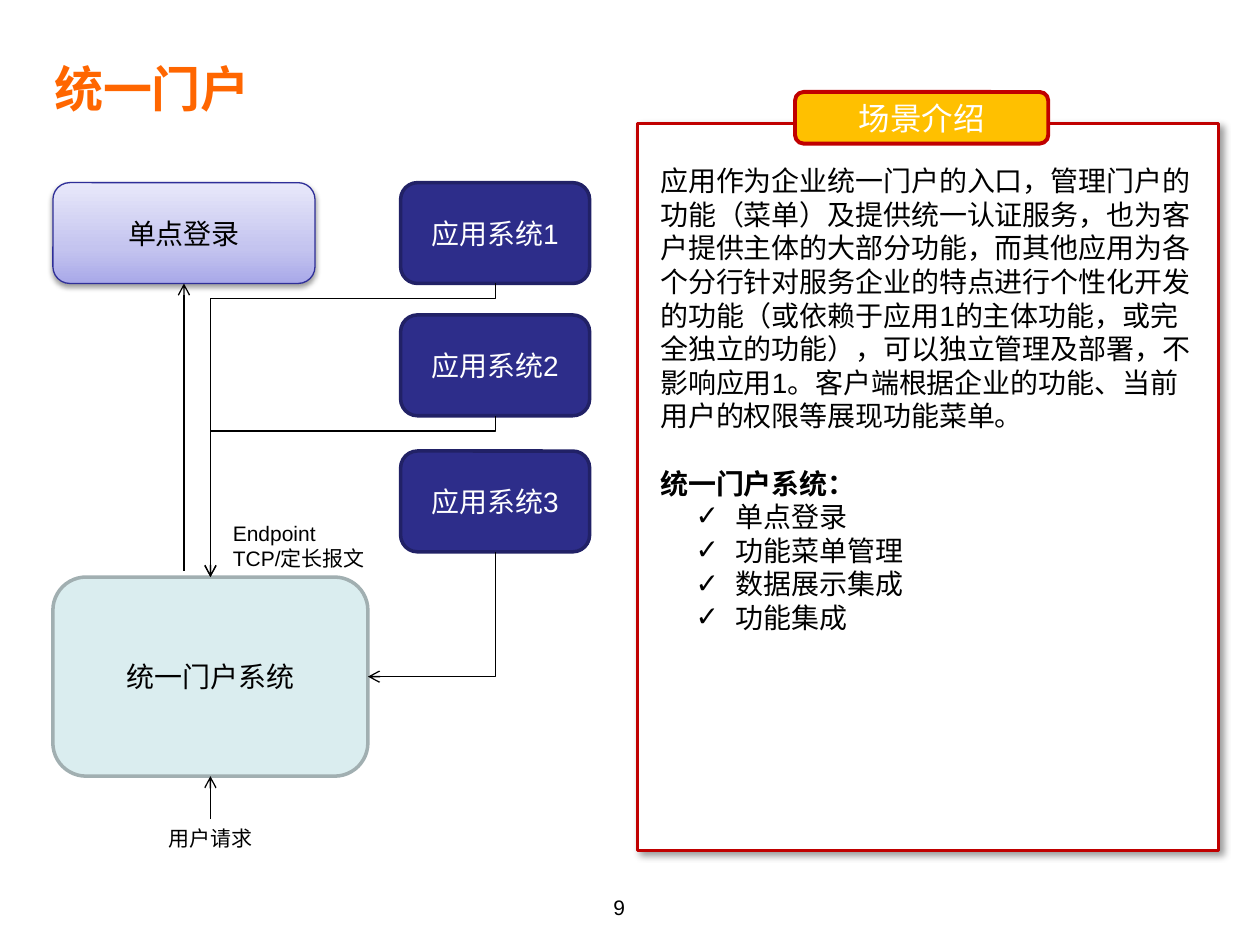
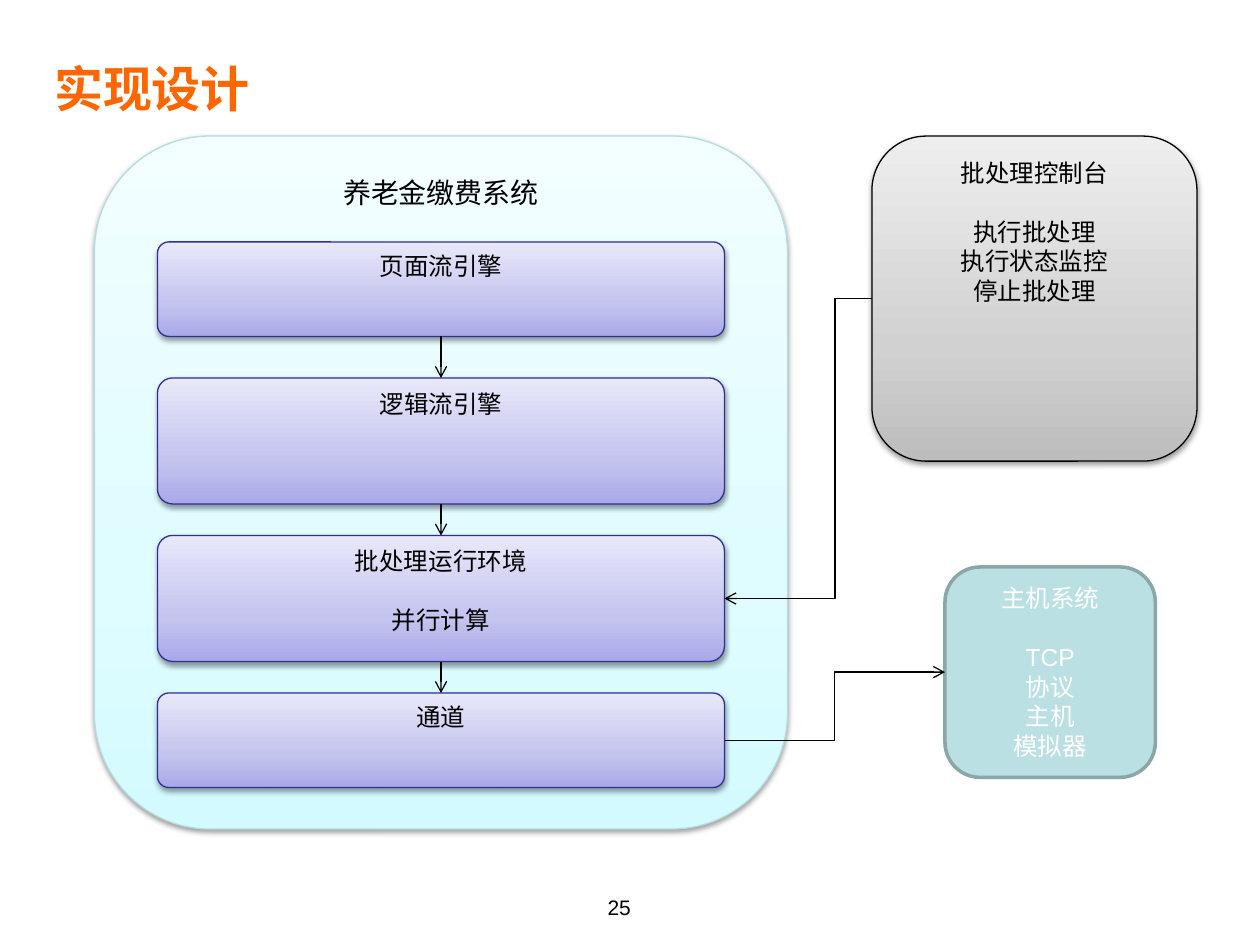
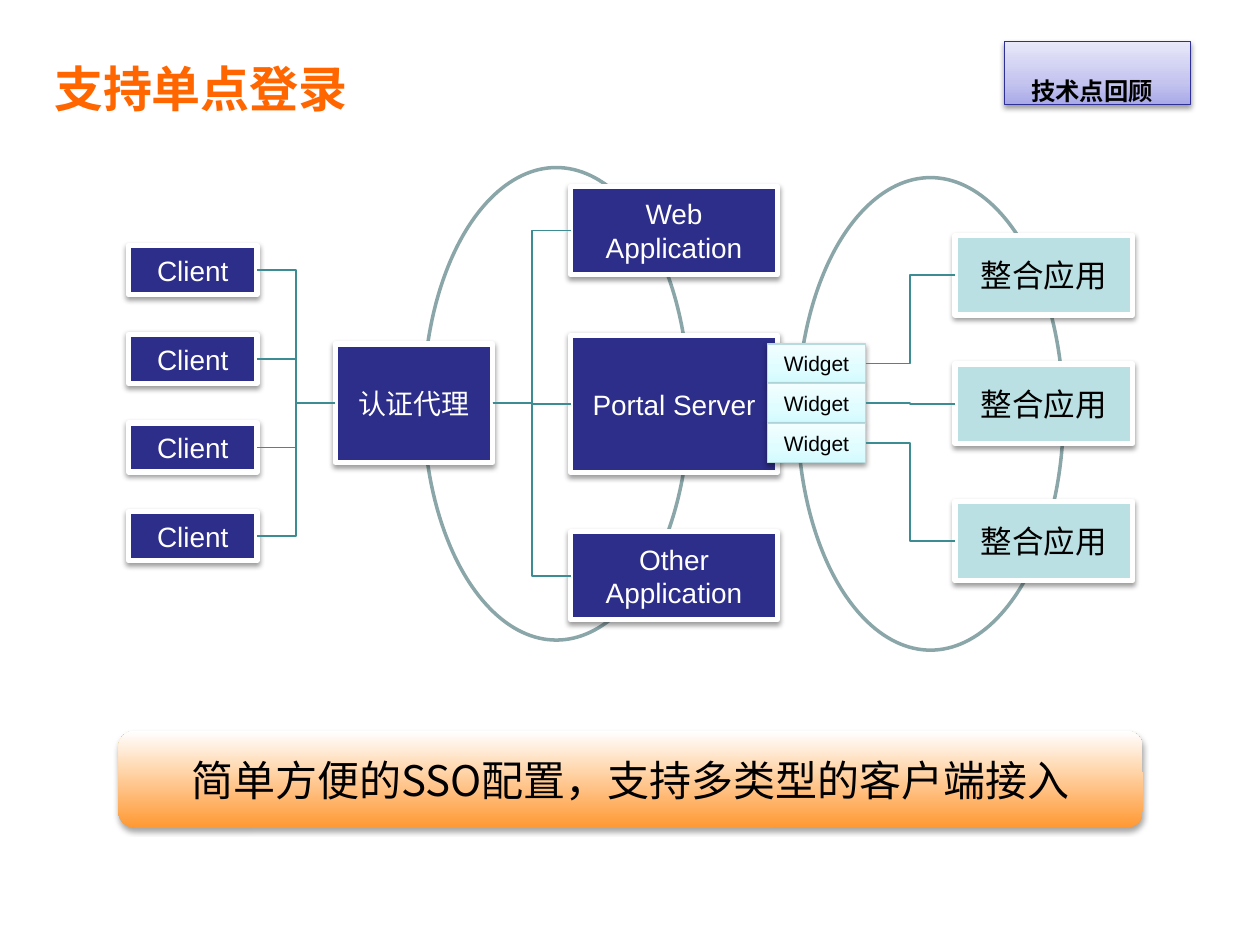
import dataclasses

import pptx
import pptx.dml.color
import pptx.enum.shapes
import pptx.enum.text
import pptx.oxml
import pptx.oxml.ns
import pptx.util

Inches = pptx.util.Inches
Pt = pptx.util.Pt
qn = pptx.oxml.ns.qn
SHAPE = pptx.enum.shapes.MSO_SHAPE
CONNECTOR = pptx.enum.shapes.MSO_CONNECTOR
ALIGN = pptx.enum.text.PP_ALIGN
ANCHOR = pptx.enum.text.MSO_ANCHOR


@dataclasses.dataclass(frozen=True)
class Look:
    """Fill is a colour or a list of gradient stops running upwards."""
    fill: object = None
    line: tuple = None
    shadow: tuple = None
    text: str = "000000"


@dataclasses.dataclass(frozen=True)
class Theme:
    latin: str = "Arial"
    chinese: str = "Noto Sans CJK SC"
    black: str = "000000"
    title_colour: str = "FF6600"
    teal: str = "3C8C93"
    title: int = 28
    banner: int = 24
    large: int = 18
    normal: int = 16
    small: int = 14
    label: int = 12


THEME = Theme()

# Shadows: opacity in percent, blur, distance, direction in degrees
SOFT = (38, 3.1, 1.6, 90)
LAVENDER = Look(((0, "A9A9E9"), (35, "C4C4EF"), (100, "E8E8FA")), ("2F2F98", 0.75), SOFT)
ICE = Look(((0, "D3FBFF"), (35, "DFFCFF"), (100, "F2FEFF")), ("B6DCDF", 0.75), SOFT)
GREY = Look(((0, "BDBDBD"), (35, "D1D1D1"), (100, "EEEEEE")), ("000000", 0.75), SOFT)
ORANGE = Look(((0, "FF9933"), (100, "FFFFFF")), None, (35, 3.1, 1.8, 90))
NAVY = Look("2D2D8A", ("212166", 2), None, "FFFFFF")
NAVY_CARD = Look("2D2D8A", ("FFFFFF", 3), SOFT, "FFFFFF")
AQUA_CARD = Look("BBE0E3", ("FFFFFF", 3), SOFT)
AQUA = Look("BBE0E3", ("8AA6A8", 2), None, "FFFFFF")
PALE_AQUA = Look("DAEDEF", ("A1AFB1", 2))
RING = Look(None, ("8AA6A8", 2))
RED_FRAME = Look("FFFFFF", ("C00000", 1.5), (40, 4, 3, 45))
AMBER = Look("FFC000", ("C00000", 2.25), None, "FFFFFF")


def rgb(colour):
    return pptx.dml.color.RGBColor.from_string(colour)


def element(tag, **attributes):
    node = pptx.oxml.parse_xml(f'<a:{tag} {pptx.oxml.ns.nsdecls("a")}/>')
    for name, value in attributes.items():
        node.set(name, str(value))
    return node


def colour_node(colour):
    return element("srgbClr", val=colour)


def spread(first, last, count):
    return [first + (last - first) * i / (count - 1) for i in range(count)]


def edge(shape, side):
    """Middle point of one side of a shape."""
    x = {"left": 0, "right": 1}.get(side, 0.5)
    y = {"top": 0, "bottom": 1}.get(side, 0.5)
    return shape.left + int(shape.width * x), shape.top + int(shape.height * y)


class Deck:
    def __init__(self, theme):
        self.theme = theme
        self.show = pptx.Presentation()
        self.show.slide_width, self.show.slide_height = Inches(10), Inches(7.5)
        self.slide = None

    def start(self, title, number=None, layout=5):
        self.slide = self.show.slides.add_slide(self.show.slide_layouts[layout])
        heading = self.slide.shapes.title
        self.place(heading, 0.33, 0.39, 9.42, 0.61)
        heading.text_frame.vertical_anchor = ANCHOR.MIDDLE
        self.fill_text(heading.text_frame, [title], self.theme.title,
                       self.theme.title_colour, ALIGN.LEFT, bold=True)
        if number:
            self.label(number, 3.75, 6.83, 2.33, 0.52, anchor=ANCHOR.BOTTOM)

    def place(self, shape, left, top, width, height):
        places = {"left": left, "top": top, "width": width, "height": height}
        for name, value in places.items():
            setattr(shape, name, Inches(value))

    def fill_text(self, frame, lines, size, colour, align=ALIGN.CENTER, gap=0,
                  font=None, bold=False):
        """Put one paragraph per line; gap sets the second one apart."""
        frame.word_wrap = True
        for i, line in enumerate(lines):
            paragraph = frame.paragraphs[0] if i == 0 else frame.add_paragraph()
            paragraph.alignment = align
            paragraph.space_before = Pt(gap if i == 1 else 0)
            self.style(paragraph, line, size, colour, font, bold)

    def style(self, paragraph, text, size, colour, font=None, bold=False):
        run = paragraph.add_run()
        run.text = text
        formats = {"name": font or self.theme.latin, "size": Pt(size), "bold": bold}
        for name, value in formats.items():
            setattr(run.font, name, value)
        run.font.color.rgb = rgb(colour)
        latin = run.font._element.find(qn("a:latin"))
        latin.addnext(element("ea", typeface=self.theme.chinese))
        return run

    def label(self, text, left, top, width, height, align=ALIGN.CENTER,
              anchor=ANCHOR.TOP):
        box = self.slide.shapes.add_textbox(
            *map(Inches, (left, top, width, height)))
        box.text_frame.vertical_anchor = anchor
        self.fill_text(box.text_frame, text.split("\n"), self.theme.label,
                       self.theme.black, align)
        return box

    def box(self, kind, look, at, text="", size=None, anchor=ANCHOR.MIDDLE,
            gap=0, font=None, corner=None):
        shape = self.slide.shapes.add_shape(kind, *map(Inches, at))
        if corner:
            shape.adjustments[0] = corner
        self.paint(shape, look)
        shape.text_frame.vertical_anchor = anchor
        if text:
            self.fill_text(shape.text_frame, text.split("\n"),
                           size or self.theme.normal, look.text, gap=gap, font=font)
        return shape

    def paint(self, shape, look):
        if look.fill is None:
            shape.fill.background()
        elif isinstance(look.fill, str):
            shape.fill.solid()
            shape.fill.fore_color.rgb = rgb(look.fill)
        else:
            shape.fill.gradient()
            shape.fill.gradient_angle = 90
            stops = shape._element.spPr.find(".//" + qn("a:gsLst"))
            stops.clear()
            for position, colour in look.fill:
                stop = element("gs", pos=position * 1000)
                stop.append(colour_node(colour))
                stops.append(stop)
        if look.line:
            shape.line.color.rgb = rgb(look.line[0])
            shape.line.width = Pt(look.line[1])
        else:
            shape.line.fill.background()
        shape.shadow.inherit = False
        if look.shadow:
            opacity, blur, distance, direction = look.shadow
            shadow = element("outerShdw", blurRad=Pt(blur), dist=Pt(distance),
                             dir=direction * 60000, rotWithShape=0)
            colour = colour_node(self.theme.black)
            colour.append(element("alpha", val=opacity * 1000))
            shadow.append(colour)
            shape._element.spPr.find(qn("a:effectLst")).append(shadow)

    def connect(self, start, end, bend=None, vertical=False, corner=False,
                colour=None, width=0.75, arrow=True):
        """Straight without bend; vertical leaves upright; corner turns once."""
        elbow = corner or bend is not None
        if vertical:
            # The frame is turned by 90 degrees about its centre
            cx, cy = (start[0] + end[0]) // 2, (start[1] + end[1]) // 2
            start, end = [(cx + y - cy, cy - x + cx) for x, y in (start, end)]
        line = self.slide.shapes.add_connector(
            CONNECTOR.ELBOW if elbow else CONNECTOR.STRAIGHT, *start, *end)
        line.line.color.rgb = rgb(colour or self.theme.black)
        line.line.width = Pt(width)
        properties = line._element.spPr
        if vertical:
            properties.find(qn("a:xfrm")).set("rot", "5400000")
        geometry = properties.find(qn("a:prstGeom"))
        if corner:
            geometry.set("prst", "bentConnector2")
        elif elbow:
            geometry.find(qn("a:avLst")).append(
                element("gd", name="adj1", fmla=f"val {round(bend * 100000)}"))
        if arrow:
            properties.find(qn("a:ln")).append(element("tailEnd", type="arrow"))
        properties.append(element("effectLst"))

    def body(self, at, intro, heading, items):
        """Intro paragraph, bold heading and ticked list in the body placeholder."""
        holder = self.slide.placeholders[1]
        self.slide.shapes._spTree.append(holder._element)
        self.place(holder, *at)
        frame = holder.text_frame
        frame.word_wrap = True
        frame.auto_size = pptx.enum.text.MSO_AUTO_SIZE.NONE
        plain = {"text": intro, "before": 0, "bold": False, "tick": False}
        rows = [plain, {**plain, "text": heading, "before": 19.2, "bold": True}]
        rows += [{**plain, "text": item, "tick": True} for item in items]
        for i, row in enumerate(rows):
            paragraph = frame.paragraphs[0] if i == 0 else frame.add_paragraph()
            paragraph.level = int(row["tick"])
            paragraph.space_before = Pt(row["before"])
            margins = paragraph._p.get_or_add_pPr()
            margins.set("marL", str(Inches(0.6 if row["tick"] else 0)))
            margins.set("indent", str(Inches(-0.32 if row["tick"] else 0)))
            margins.append(element("buChar", char="✓") if row["tick"]
                           else element("buNone"))
            self.style(paragraph, row["text"], self.theme.normal, self.theme.black,
                       self.theme.chinese if i else None, row["bold"])


def portal_slide(deck):
    deck.start("统一门户", "9", layout=1)

    # Systems around the portal
    portal = deck.box(SHAPE.ROUNDED_RECTANGLE, PALE_AQUA, (0.42, 4.58, 2.5, 1.58),
                      "统一门户系统")
    sign_on = deck.box(SHAPE.ROUNDED_RECTANGLE, LAVENDER, (0.42, 1.45, 2.08, 0.8),
                       "单点登录")
    applications = [
        deck.box(SHAPE.ROUNDED_RECTANGLE, NAVY, (3.18, top, 1.5, 0.8), f"应用系统{i}")
        for i, top in enumerate((1.45, 2.5, 3.58), 1)]
    request = deck.label("用户请求", 1.17, 6.5, 1, 0.3)
    deck.label("Endpoint\nTCP/定长报文", 1.75, 4.08, 1.5, 0.5, ALIGN.LEFT)

    # Message flows
    for application in applications[:2]:
        start, end = edge(application, "bottom"), edge(portal, "top")
        deck.connect(start, end, Inches(0.12) / (end[1] - start[1]), vertical=True)
    deck.connect(edge(applications[2], "bottom"), edge(portal, "right"),
                 vertical=True, corner=True)
    deck.connect(edge(request, "top"), edge(portal, "bottom"))
    sign_on_foot = edge(sign_on, "bottom")
    deck.connect((sign_on_foot[0], Inches(4.53)), sign_on_foot)

    # Scenario panel
    deck.box(SHAPE.RECTANGLE, RED_FRAME, (5.06, 0.98, 4.61, 5.77))
    deck.body(
        (5.14, 1.25, 4.52, 5.65),
        "应用作为企业统一门户的入口，管理门户的功能（菜单）及提供统一认证服务，"
        "也为客户提供主体的大部分功能，而其他应用为各个分行针对服务企业的特点进行"
        "个性化开发的功能（或依赖于应用1的主体功能，或完全独立的功能），"
        "可以独立管理及部署，不影响应用1。客户端根据企业的功能、"
        "当前用户的权限等展现功能菜单。",
        "统一门户系统：",
        ("单点登录", "功能菜单管理", "数据展示集成", "功能集成"))
    scenario = deck.box(SHAPE.ROUNDED_RECTANGLE, AMBER, (6.31, 0.73, 2.01, 0.41),
                        "场景介绍", deck.theme.large, font=deck.theme.chinese)
    for side in ("margin_left", "margin_right"):
        setattr(scenario.text_frame, side, Inches(0.04))


def design_slide(deck):
    deck.start("实现设计", "25")
    top_text = {"anchor": ANCHOR.TOP, "size": deck.theme.small, "gap": 16.8}

    # Pension system, host and console
    deck.box(SHAPE.ROUNDED_RECTANGLE, ICE, (0.75, 1.08, 5.5, 5.5),
             "养老金缴费系统", anchor=ANCHOR.TOP)
    host = deck.box(SHAPE.ROUNDED_RECTANGLE, AQUA, (7.5, 4.5, 1.67, 1.67),
                    "主机系统\nTCP\n协议\n主机\n模拟器", **top_text)
    console = deck.box(SHAPE.ROUNDED_RECTANGLE, GREY, (6.92, 1.08, 2.58, 2.58),
                       "批处理控制台\n执行批处理\n执行状态监控\n停止批处理", **top_text)

    # Layers of the pension system
    layers = [
        deck.box(SHAPE.ROUNDED_RECTANGLE, LAVENDER, (1.25, top, 4.5, height), text,
                 corner=0.12, **top_text)
        for text, top, height in (("页面流引擎", 1.92, 0.75), ("逻辑流引擎", 3, 1),
                                  ("批处理运行环境\n并行计算", 4.25, 1),
                                  ("通道", 5.5, 0.75))]
    for upper, lower in zip(layers, layers[1:]):
        deck.connect(edge(upper, "bottom"), edge(lower, "top"))
    batch, channel = layers[2:]
    deck.connect(edge(channel, "right"), edge(host, "left"), 0.5)
    deck.connect(edge(console, "left"), edge(batch, "right"), 0.25)


def sign_on_slide(deck):
    deck.start("支持单点登录")
    for left, top in ((6.33, 1.41), (3.36, 1.33)):
        deck.box(SHAPE.OVAL, RING, (left, top, 2.11, 3.75))

    # Clients, proxy, servers, widgets and integrated applications
    clients = [deck.box(SHAPE.RECTANGLE, NAVY_CARD, (1.02, top, 1.02, 0.39), "Client")
               for top in spread(1.95, 4.06, 4)]
    proxy = deck.box(SHAPE.RECTANGLE, NAVY_CARD, (2.66, 2.73, 1.25, 0.94), "认证代理")
    servers = [
        deck.box(SHAPE.RECTANGLE, NAVY_CARD, (4.53, top, 1.64, height), text)
        for text, top, height in (("Web Application", 1.48, 0.7),
                                  ("Portal Server", 2.66, 1.09),
                                  ("Other Application", 4.22, 0.7))]
    widgets = [deck.box(SHAPE.RECTANGLE, ICE, (6.09, top, 0.78, 0.31), "Widget",
                        deck.theme.label) for top in spread(2.73, 3.36, 3)]
    integrated = [deck.box(SHAPE.RECTANGLE, AQUA_CARD, (7.58, top, 1.41, 0.63),
                           "整合应用", deck.theme.large) for top in (1.87, 2.89, 3.98)]

    # Links from left to right
    links = [(client, proxy) for client in clients]
    links += [(proxy, server) for server in servers]
    links += zip(widgets, integrated)
    for source, target in links:
        deck.connect(edge(source, "right"), edge(target, "left"), 0.5,
                     colour=deck.theme.teal, width=1, arrow=False)

    # Summary banner and review tag
    deck.box(SHAPE.ROUNDED_RECTANGLE, ORANGE, (0.94, 5.8, 8.13, 0.77),
             "简单方便的SSO配置，支持多类型的客户端接入", deck.theme.banner,
             font=deck.theme.chinese)
    review = deck.box(SHAPE.RECTANGLE, LAVENDER, (7.97, 0.33, 1.48, 0.5),
                      anchor=ANCHOR.TOP)
    review.text_frame.margin_right = Inches(0.3)
    tag = review.text_frame.paragraphs[0]
    tag.alignment = ALIGN.RIGHT
    run = deck.style(tag, "技术点回顾", deck.theme.banner, deck.theme.black, bold=True)
    run.font._element.set("baseline", "-25000")


def main():
    deck = Deck(THEME)
    for build in (portal_slide, design_slide, sign_on_slide):
        build(deck)
    deck.show.save("out.pptx")


if __name__ == "__main__":
    main()
